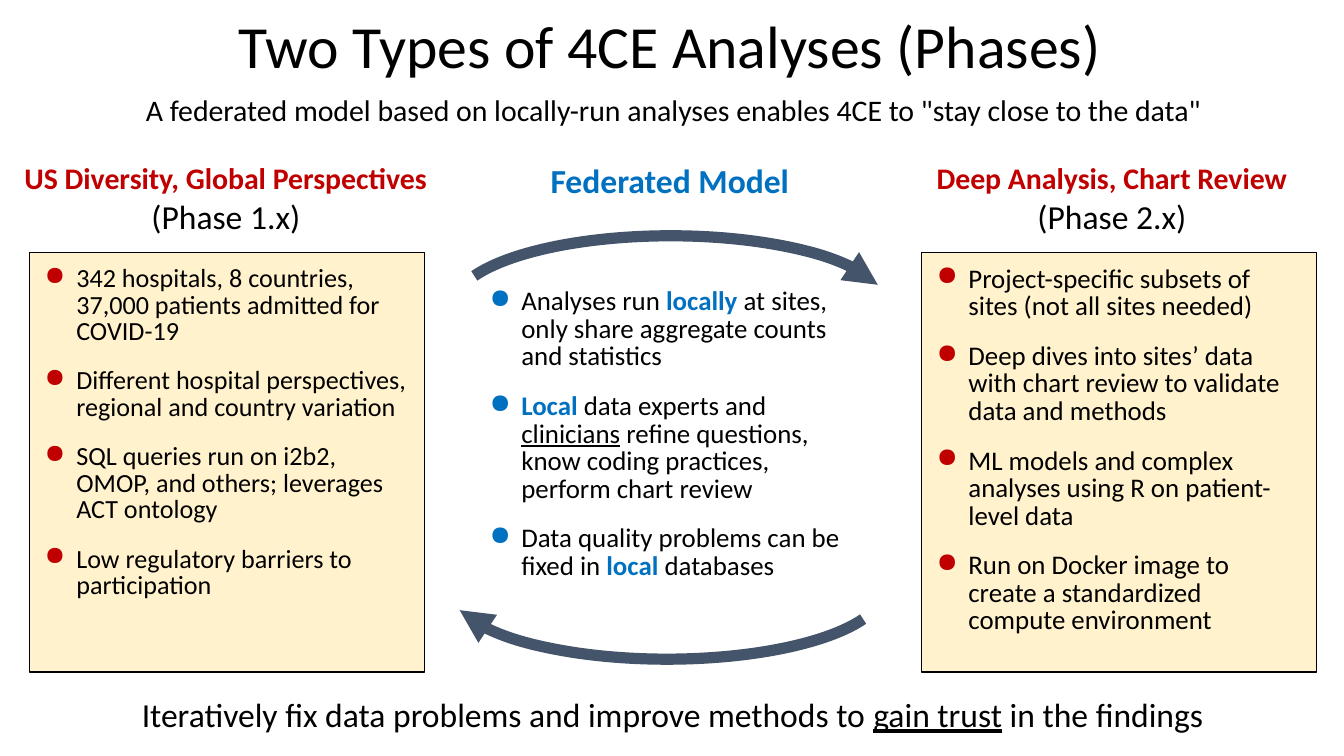
from lxml.etree import SubElement
from pptx import Presentation
from pptx.dml.color import RGBColor
from pptx.enum.shapes import MSO_SHAPE
from pptx.enum.text import MSO_ANCHOR, PP_ALIGN
from pptx.oxml.ns import qn
from pptx.util import Pt

BLACK, RED, BLUE, SLATE, CREAM = "000000", "C00000", "0070C0", "44546A", "FFF2CC"


def color(value):
    return RGBColor.from_string(value)


def assign(target, values):
    for name, value in values.items():
        setattr(target, name, value)


class Slide:
    """Holds the text style and the current page, and draws each kind of element."""

    font = "Calibri"
    inset = 7.2
    centered = {"alignment": PP_ALIGN.CENTER}
    bulleted = {"alignment": PP_ALIGN.LEFT, "line_spacing": 0.85, "space_before": Pt(12)}

    def __init__(self, deck):
        self.page = deck.slides.add_slide(deck.slide_layouts[6])

    def add_spans(self, para, spans, size, **base):
        for span in [spans] if isinstance(spans, str) else spans:
            text, changes = (span, {}) if isinstance(span, str) else span
            style = {"color": BLACK, "bold": False, "underline": False} | base | changes
            run = para.add_run()
            run.text = text
            run.font.color.rgb = color(style.pop("color"))
            assign(run.font, style | {"name": self.font, "size": Pt(size)})

    def frame(self, shape, anchor=MSO_ANCHOR.TOP, side=inset):
        frame = shape.text_frame
        assign(frame, {
            "word_wrap": True, "vertical_anchor": anchor,
            "margin_left": Pt(side), "margin_right": Pt(side),
            "margin_top": Pt(self.inset), "margin_bottom": Pt(self.inset),
        })
        return frame

    def textbox(self, place):
        return self.page.shapes.add_textbox(*map(Pt, place))

    def line(self, place, spans, size, spacing, anchor=MSO_ANCHOR.MIDDLE):
        para = self.frame(self.textbox(place), anchor).paragraphs[0]
        assign(para, self.centered | {"line_spacing": spacing})
        self.add_spans(para, spans, size)

    def heading(self, place, title, size, hue, phase=None, side=inset):
        frame = self.frame(self.textbox(place), side=side)
        para = frame.paragraphs[0]
        assign(para, self.centered)
        self.add_spans(para, title, size, color=hue, bold=True)
        if phase:
            para = frame.add_paragraph()
            assign(para, self.centered)
            self.add_spans(para, phase, 18)

    def panel(self, place):
        box = self.page.shapes.add_shape(MSO_SHAPE.RECTANGLE, *map(Pt, place))
        box.shadow.inherit = False
        box.fill.solid()
        box.fill.fore_color.rgb = color(CREAM)
        box.line.color.rgb = color(BLACK)
        box.line.width = Pt(0.75)
        return box

    def bullets(self, box, items, size, hue):
        frame = self.frame(box)
        for index, spans in enumerate(items):
            para = frame.add_paragraph() if index else frame.paragraphs[0]
            assign(para, self.bulleted)
            properties = para._p.get_or_add_pPr()
            properties.set("marL", str(Pt(18)))
            properties.set("indent", str(Pt(-17)))
            tint = SubElement(properties, qn("a:buClr"))
            SubElement(tint, qn("a:srgbClr"), val=hue)
            SubElement(properties, qn("a:buChar"), char="●")
            self.add_spans(para, spans, size)

    def arc_arrow(self, place, rotation):
        arc = self.page.shapes.add_shape(MSO_SHAPE.ARC, *map(Pt, place))
        arc.shadow.inherit = False
        arc.adjustments[0], arc.adjustments[1] = 167.19, 50.53
        arc.rotation = rotation
        arc.fill.background()
        arc.line.color.rgb = color(SLATE)
        arc.line.width = Pt(6)
        SubElement(arc.line._get_or_add_ln(), qn("a:tailEnd"), type="triangle")


def main():
    deck = Presentation()
    assign(deck, {"slide_width": Pt(720), "slide_height": Pt(405)})
    slide = Slide(deck)
    local = {"color": BLUE, "bold": True}
    underlined = {"underline": True}

    slide.line((8, 2, 702, 47.5), "Two Types of 4CE Analyses (Phases)", 32, 0.9, MSO_ANCHOR.TOP)
    slide.line((18, 45.4, 686, 29.5),
               'A federated model based on locally-run analyses enables 4CE to "stay close to the data"',
               16, 0.85)

    slide.bullets(slide.panel((15.8, 135.4, 211.5, 224.6)), [
        "342 hospitals, 8 countries, 37,000 patients admitted for COVID-19",
        "Different hospital perspectives, regional and country variation",
        "SQL queries run on i2b2, OMOP, and others; leverages ACT ontology",
        "Low regulatory barriers to participation",
    ], 14, RED)
    slide.bullets(slide.panel((493.7, 135.4, 211.5, 224.6)), [
        "Project-specific subsets of sites (not all sites needed)",
        "Deep dives into sites’ data with chart review to validate data and methods",
        "ML models and complex analyses using R on patient-level data",
        "Run on Docker image to create a standardized compute environment",
    ], 14.4, RED)
    slide.bullets(slide.textbox((254.2, 147.6, 211.5, 187.2)), [
        ["Analyses run ", ("locally ", local),
         "at sites, only share aggregate counts and statistics"],
        [("Local ", local), "data experts and ", ("clinicians", underlined),
         " refine questions, know coding practices, perform chart review"],
        ["Data quality problems can be fixed in ", ("local ", local), "databases"],
    ], 14.4, BLUE)

    slide.arc_arrow((321.8, 47.5, 75, 232.6), 270)
    slide.arc_arrow((319.7, 199.4, 75, 232.6), 90)

    slide.heading((6.5, 78.5, 229, 55.4), "US Diversity, Global Perspectives", 16, RED,
                  "(Phase 1.x)", side=0)
    slide.heading((253.4, 78.5, 211, 36), "Federated Model", 18, BLUE)
    slide.heading((481.7, 78.5, 228, 55.4), "Deep Analysis, Chart Review", 16, RED, "(Phase 2.x)")

    slide.line((17.3, 369.4, 686, 29.5),
               ["Iteratively fix data problems and improve methods to ",
                ("gain trust", underlined), " in the findings"], 18, 0.85)
    deck.save("out.pptx")


if __name__ == "__main__":
    main()
